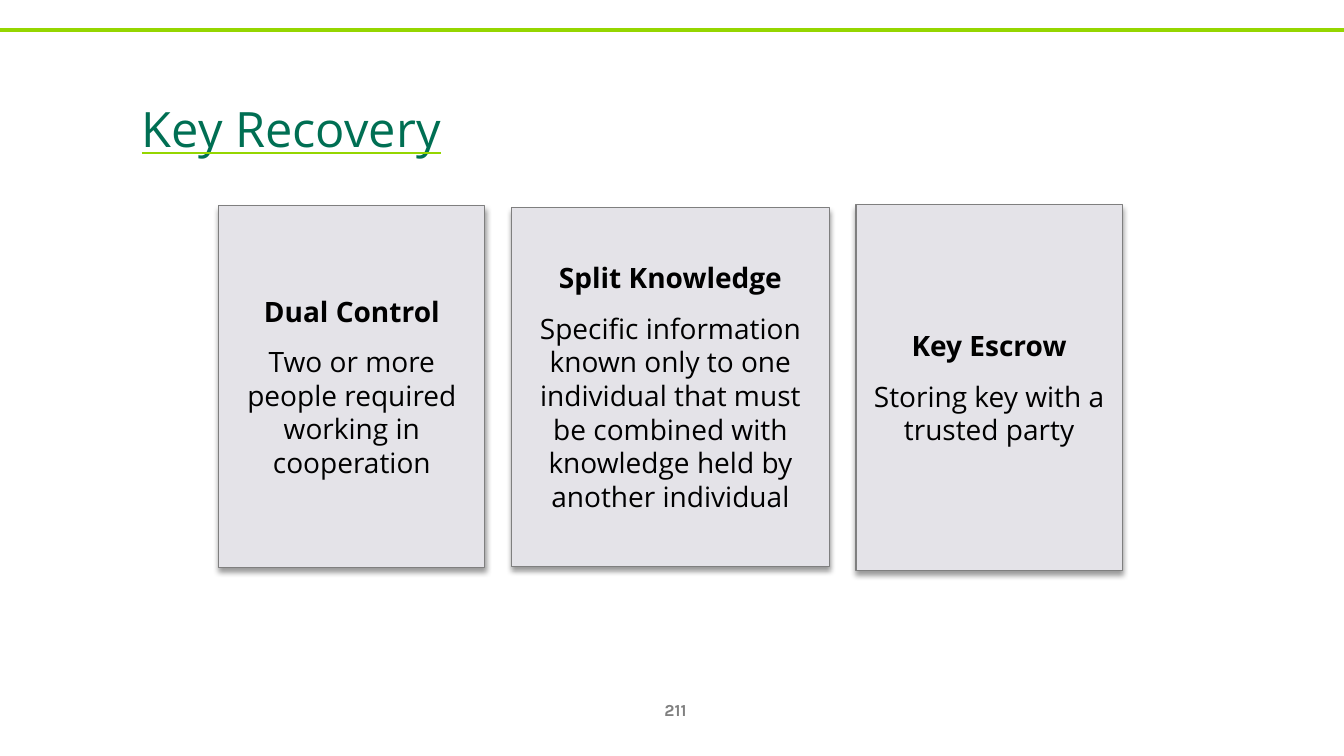
from lxml import etree
from pptx import Presentation
from pptx.dml.color import RGBColor
from pptx.enum.shapes import MSO_CONNECTOR, MSO_SHAPE
from pptx.enum.text import MSO_ANCHOR, PP_ALIGN
from pptx.oxml import parse_xml
from pptx.oxml.ns import nsdecls, qn
from pptx.util import Inches, Pt

LINE, RECT = MSO_CONNECTOR.STRAIGHT, MSO_SHAPE.RECTANGLE
LEFT, CENTER, MIDDLE = PP_ALIGN.LEFT, PP_ALIGN.CENTER, MSO_ANCHOR.MIDDLE
LIME = RGBColor(0x95, 0xD6, 0x00)
GREEN = RGBColor(0x00, 0x6F, 0x53)
BLACK = RGBColor(0x00, 0x00, 0x00)
GRAY = RGBColor(0x80, 0x80, 0x80)
EDGE = RGBColor(0x7F, 0x7F, 0x7F)
PALE = RGBColor(0xE4, 0xE3, 0xE8)
WIDE, HIGH = 13.33, 7.5

# Left, top, width, height, heading, text
CARDS = [
    (2.17, 2.04, 2.64, 3.59, "Dual Control",
     "Two or more people required working in cooperation"),
    (5.07, 2.06, 3.16, 3.56, "Split Knowledge",
     "Specific information known only to one individual that must be "
     "combined with knowledge held by another individual"),
    (8.49, 2.03, 2.64, 3.63, "Key Escrow",
     "Storing key with a trusted party"),
]


def write(para, text, size=20, font="Open Sans", color=BLACK, bold=False,
          align=CENTER, after=0):
    para.alignment = align
    para.space_after = Pt(after)
    run = para.add_run()
    run.text = text
    run.font.size, run.font.name = Pt(size), font
    run.font.bold = bold
    run.font.color.rgb = color
    return run


def frame(slide, left, top, width, height):
    box = slide.shapes.add_textbox(Inches(left), Inches(top),
                                   Inches(width), Inches(height))
    body = box.text_frame
    body.word_wrap = True
    body.vertical_anchor = MIDDLE
    return body


def add_rule(slide, left, top, width):
    rule = slide.shapes.add_connector(LINE, Inches(left), Inches(top),
                                      Inches(left + width), Inches(top))
    rule.line.color.rgb = LIME
    rule.line.width = Pt(3)
    etree.SubElement(rule.element.spPr, qn("a:effectLst"))


def add_title(slide, left, top, width, height, text):
    body = frame(slide, left, top, width, height)
    run = write(body.paragraphs[0], text, size=60, color=GREEN, align=LEFT)
    run.font.underline = True
    # Raised baseline and lime underline
    props = run.font.fill._xPr
    props.set("baseline", "12000")
    props.find(qn("a:solidFill")).addnext(parse_xml(
        f'<a:uFill {nsdecls("a")}><a:solidFill><a:srgbClr val="{LIME}"/>'
        '</a:solidFill></a:uFill>'))


def add_card(slide, left, top, width, height, head, text):
    card = slide.shapes.add_shape(RECT, Inches(left), Inches(top),
                                  Inches(width), Inches(height))
    card.fill.solid()
    card.fill.fore_color.rgb = PALE
    card.line.color.rgb = EDGE
    card.line.width = Pt(0.75)
    # Soft shadow below
    card.element.spPr.append(parse_xml(
        f'<a:effectLst {nsdecls("a")}><a:outerShdw blurRad="{Pt(4)}" '
        f'dist="{Pt(3)}" dir="5400000" rotWithShape="0"><a:srgbClr '
        f'val="{BLACK}"><a:alpha val="40000"/></a:srgbClr></a:outerShdw>'
        '</a:effectLst>'))
    body = card.text_frame
    body.word_wrap = True
    body.vertical_anchor = MIDDLE
    body.margin_left = body.margin_right = Inches(0.1)
    body.margin_top = body.margin_bottom = Inches(0.1)
    write(body.paragraphs[0], head, bold=True, after=12)
    write(body.add_paragraph(), text, after=12)


def add_number(slide, left, top, width, height, text):
    body = frame(slide, left, top, width, height)
    write(body.paragraphs[0], text, size=12, font="Karla", color=GRAY,
          bold=True)


def main():
    deck = Presentation()
    deck.slide_width, deck.slide_height = Inches(WIDE), Inches(HIGH)
    slide = deck.slides.add_slide(deck.slide_layouts[6])
    add_rule(slide, 0, 0.3, WIDE)
    add_number(slide, 6.39, 6.84, 0.62, 0.4, "211")
    add_title(slide, 1.31, 0.61, 12.03, 1.25, "Key Recovery")
    for card in CARDS:
        add_card(slide, *card)
    deck.save("out.pptx")


if __name__ == "__main__":
    main()
